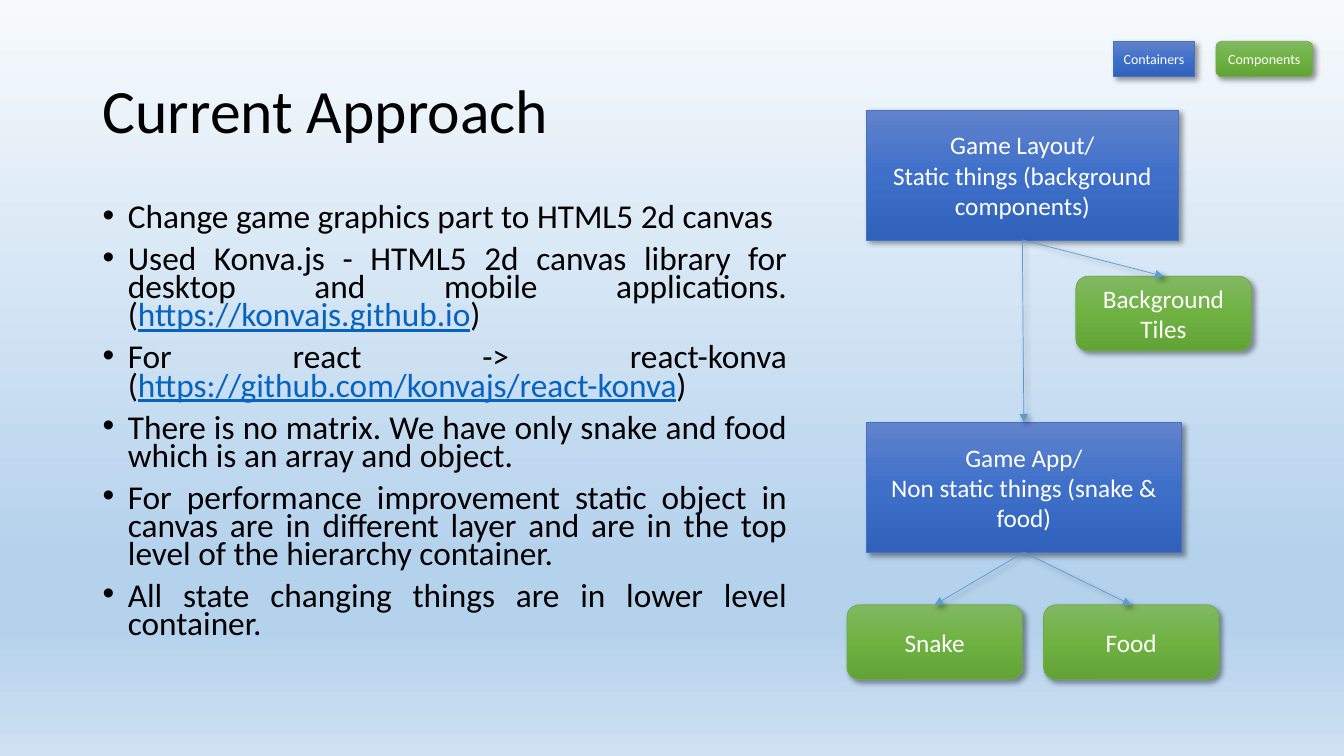
from dataclasses import dataclass

import lxml.etree
import pptx
import pptx.dml.color
import pptx.enum.shapes
import pptx.enum.text
import pptx.oxml
import pptx.oxml.ns
import pptx.util

Inches, Pt = pptx.util.Inches, pptx.util.Pt
RGB = pptx.dml.color.RGBColor.from_string
qn = pptx.oxml.ns.qn
SHAPE = pptx.enum.shapes.MSO_SHAPE
ALIGN = pptx.enum.text.PP_ALIGN
ANCHOR = pptx.enum.text.MSO_ANCHOR


@dataclass(frozen=True)
class Theme:
    font: str = "Calibri"
    ink: str = "000000"
    link: str = "0563C1"
    label: str = "FFFFFF"
    arrow: str = "5B9BD5"
    sky: tuple = ((0, "F7FAFD"), (74, "B5D2EC"), (83, "B5D2EC"), (100, "CEE1F2"))
    container: tuple = ((0, "6183CB"), (50, "3E70CA"), (100, "3062BB"))
    container_edge: str = "4472C4"
    component: tuple = ((0, "81B861"), (50, "6FB242"), (100, "62A336"))
    component_edge: str = "70AD47"
    title_size: float = 44
    body_size: float = 23.8
    node_size: float = 18
    legend_size: float = 10
    line_width: float = 0.5


theme = Theme()


def paint_gradient(fill, owner, stops):
    """Fill from top to bottom with (percent, colour) stops; owner is the XML around the fill."""
    fill.gradient()
    fill.gradient_angle = 270
    stop_list = next(owner.iter(qn("a:gsLst")))
    for old_stop in list(stop_list):
        stop_list.remove(old_stop)
    for percent, colour in stops:
        stop = lxml.etree.SubElement(stop_list, qn("a:gs"), pos=str(percent * 1000))
        lxml.etree.SubElement(stop, qn("a:srgbClr"), val=colour)


def cast_shadow(properties):
    """Put a soft shadow to the lower right, in place of the theme's own effects."""
    effects = properties.find(qn("a:effectLst"))
    if effects is None:
        effects = lxml.etree.SubElement(properties, qn("a:effectLst"))
    shadow = lxml.etree.SubElement(
        effects, qn("a:outerShdw"), blurRad=str(Pt(4)), dist=str(Pt(3)),
        dir=str(45 * 60000), algn="tl", rotWithShape="0")
    colour = lxml.etree.SubElement(shadow, qn("a:srgbClr"), val=theme.ink)
    lxml.etree.SubElement(colour, qn("a:alpha"), val="40000")


deck = pptx.Presentation()
deck.slide_width, deck.slide_height = Inches(13.33), Inches(7.5)
slide = deck.slides.add_slide(deck.slide_layouts[6])
paint_gradient(slide.background.fill, slide._element, theme.sky)

# Title
title = slide.shapes.add_textbox(Inches(0.92), Inches(0.4), Inches(6.98), Inches(1.45)).text_frame
title.word_wrap = True
title.vertical_anchor = ANCHOR.MIDDLE
title.text = "Current Approach"
heading = title.paragraphs[0]
heading.line_spacing = 0.9
heading.font.name = theme.font
heading.font.size = Pt(theme.title_size)
heading.font.color.rgb = RGB(theme.ink)

# Bullet points, each a row of text pieces
points = [
    ["Change game graphics part to HTML5 2d canvas"],
    ["Used Konva.js - HTML5 2d canvas library for desktop and mobile applications. (",
     "https://konvajs.github.io", ")"],
    ["For react -> react-konva (", "https://github.com/konvajs/react-konva", ")"],
    ["There is no matrix. We have only snake and food which is an array and object."],
    ["For performance improvement static object in canvas are in different layer "
     "and are in the top level of the hierarchy container."],
    ["All state changing things are in lower level container."],
]
body = slide.shapes.add_textbox(Inches(0.92), Inches(2), Inches(6.98), Inches(4.76)).text_frame
body.word_wrap = True
for index, pieces in enumerate(points):
    point = body.add_paragraph() if index else body.paragraphs[0]
    layout = point._p.get_or_add_pPr()
    layout.set("marL", str(Inches(0.25)))
    layout.set("indent", str(Inches(-0.25)))
    lxml.etree.SubElement(layout, qn("a:buFont"), typeface="Arial")
    lxml.etree.SubElement(layout, qn("a:buChar"), char="•")
    point.alignment = ALIGN.JUSTIFY
    point.line_spacing = 0.7
    if index:
        point.space_before = Pt(10)
    for piece in pieces:
        run = point.add_run()
        run.text = piece
        is_link = piece.startswith("https://")
        run.font.name = theme.font
        run.font.size = Pt(theme.body_size)
        run.font.color.rgb = RGB(theme.link if is_link else theme.ink)
        run.font.underline = is_link

# Hierarchy boxes and legend: text, kind, left, top, width, height, type size
looks = {
    "container": (SHAPE.RECTANGLE, theme.container, theme.container_edge),
    "component": (SHAPE.ROUNDED_RECTANGLE, theme.component, theme.component_edge),
}
nodes = [
    ("Game Layout/\nStatic things (background components)", "container",
     8.59, 1.09, 3.1, 1.29, theme.node_size),
    ("Game App/\nNon static things (snake & food)", "container",
     8.59, 4.19, 3.13, 1.29, theme.node_size),
    ("Background Tiles", "component", 10.67, 2.74, 1.74, 0.74, theme.node_size),
    ("Snake", "component", 8.4, 6, 1.74, 0.74, theme.node_size),
    ("Food", "component", 10.35, 6, 1.74, 0.74, theme.node_size),
    ("Containers", "container", 11.04, 0.41, 0.81, 0.35, theme.legend_size),
    ("Components", "component", 12.06, 0.41, 0.96, 0.35, theme.legend_size),
]
boxes = []
for text, kind, left, top, width, height, size in nodes:
    outline, stops, edge = looks[kind]
    box = slide.shapes.add_shape(outline, Inches(left), Inches(top), Inches(width), Inches(height))
    paint_gradient(box.fill, box._element, stops)
    box.line.color.rgb = RGB(edge)
    box.line.width = Pt(theme.line_width)
    box.shadow.inherit = False
    cast_shadow(box._element.spPr)
    box.text_frame.word_wrap = True
    box.text_frame.vertical_anchor = ANCHOR.MIDDLE
    box.text_frame.text = text
    for paragraph in box.text_frame.paragraphs:
        paragraph.alignment = ALIGN.CENTER
        paragraph.font.name = theme.font
        paragraph.font.size = Pt(size)
        paragraph.font.color.rgb = RGB(theme.label)
    boxes.append(box)

# Arrows run from the bottom of a parent to the top of its child
game_layout, game_app, tiles, snake, food = boxes[:5]
BOTTOM, TOP = 2, 0
for parent, child in [(game_layout, game_app), (game_layout, tiles),
                      (game_app, snake), (game_app, food)]:
    arrow = slide.shapes.add_connector(pptx.enum.shapes.MSO_CONNECTOR.STRAIGHT, 0, 0, 0, 0)
    arrow.begin_connect(parent, BOTTOM)
    arrow.end_connect(child, TOP)
    arrow.line.color.rgb = RGB(theme.arrow)
    arrow.line.width = Pt(theme.line_width)
    properties = arrow._element.spPr
    lxml.etree.SubElement(properties.find(qn("a:ln")), qn("a:tailEnd"), type="triangle")
    cast_shadow(properties)

deck.save("out.pptx")
